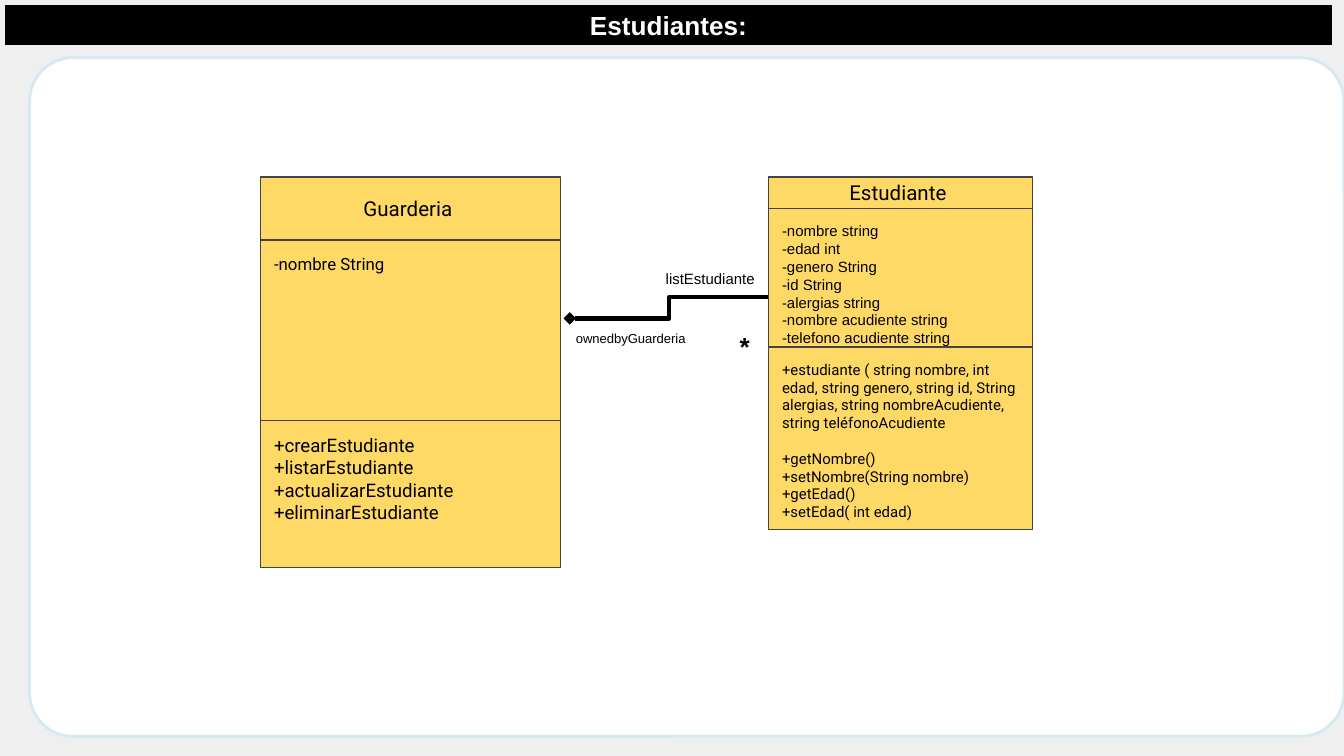
from lxml import etree
from pptx import Presentation
from pptx.dml.color import RGBColor
from pptx.enum.shapes import MSO_CONNECTOR, MSO_SHAPE
from pptx.enum.text import MSO_ANCHOR as Anchor, MSO_AUTO_SIZE as AutoSize, PP_ALIGN as Align
from pptx.oxml.ns import qn
from pptx.util import Cm, Pt

BLACK = RGBColor(0x00, 0x00, 0x00)
WHITE = RGBColor(0xFF, 0xFF, 0xFF)
BACKGROUND = RGBColor(0xEF, 0xEF, 0xEF)
CARD_LINE = RGBColor(0xD6, 0xE8, 0xF0)
CLASS_FILL = RGBColor(0xFF, 0xD9, 0x66)
CLASS_LINE = RGBColor(0x43, 0x43, 0x43)

INSET = Cm(0.25)
BOX_FRAME = {"margin_left": INSET, "margin_right": INSET, "margin_top": INSET,
             "margin_bottom": INSET, "word_wrap": True, "auto_size": AutoSize.NONE}


def apply_format(target, values):
    for name, value in values.items():
        setattr(target, name, value)


def paint(shape, fill, line, width):
    shape.fill.solid()
    shape.fill.fore_color.rgb = fill
    shape.line.color.rgb = line
    shape.line.width = Pt(width)


def write_lines(frame, lines, size, font="Arial", color=BLACK, bold=False, align=Align.LEFT):
    for index, line in enumerate(lines):
        paragraph = frame.paragraphs[0] if index == 0 else frame.add_paragraph()
        paragraph.alignment = align
        run = paragraph.add_run()
        run.text = line
        apply_format(run.font, {"name": font, "size": Pt(size), "bold": bold})
        run.font.color.rgb = color


def add_box(slide, kind, box, fill, line, width):
    shape = slide.shapes.add_shape(kind, *map(Cm, box))
    shape.shadow.inherit = False
    paint(shape, fill, line, width)
    return shape


def add_title(slide, box, text):
    title = slide.shapes.title
    apply_format(title, dict(zip(("left", "top", "width", "height"), map(Cm, box))))
    paint(title, BLACK, BLACK, 0.75)
    apply_format(title.text_frame, {**BOX_FRAME, "vertical_anchor": Anchor.MIDDLE})
    write_lines(title.text_frame, [text], 14, color=WHITE, bold=True, align=Align.CENTER)


def add_card(slide, box):
    card = add_box(slide, MSO_SHAPE.ROUNDED_RECTANGLE, box, WHITE, CARD_LINE, 1.5)
    card.adjustments[0] = 0.064


def add_class(slide, box, sections):
    """Stack the name, attribute and method sections; return their text frames."""
    left, top, width = box
    frames = []
    for index, (height, lines, size, font) in enumerate(sections):
        is_name = index == 0
        shape = add_box(slide, MSO_SHAPE.RECTANGLE, (left, top, width, height),
                        CLASS_FILL, CLASS_LINE, 0.75)
        anchor = Anchor.MIDDLE if is_name else Anchor.TOP
        apply_format(shape.text_frame, {**BOX_FRAME, "vertical_anchor": anchor})
        write_lines(shape.text_frame, lines, size, font,
                    align=Align.CENTER if is_name else Align.LEFT)
        frames.append(shape.text_frame)
        top += height
    return frames


def add_composition(slide, start, end):
    connector = slide.shapes.add_connector(MSO_CONNECTOR.ELBOW, *map(Cm, start + end))
    connector.line.color.rgb = BLACK
    connector.line.width = Pt(2.25)
    line = connector.line._get_or_add_ln()
    etree.SubElement(line, qn("a:tailEnd"), type="diamond")
    etree.SubElement(connector._element.spPr, qn("a:effectLst"))


def add_label(slide, box, text, size, bold=False, wrap=False):
    frame = slide.shapes.add_textbox(*map(Cm, box)).text_frame
    apply_format(frame, {"word_wrap": wrap, "auto_size": AutoSize.SHAPE_TO_FIT_TEXT})
    write_lines(frame, [text], size, bold=bold, align=Align.CENTER)


def main():
    presentation = Presentation()
    presentation.slide_width, presentation.slide_height = Cm(25.4), Cm(14.29)
    slide = presentation.slides.add_slide(presentation.slide_layouts[5])
    slide.background.fill.solid()
    slide.background.fill.fore_color.rgb = BACKGROUND

    # Frame of the slide
    add_card(slide, (0.56, 1.09, 24.84, 12.83))
    add_title(slide, (0.1, 0.1, 25.07, 0.74), "Estudiantes:")

    # Relation between the classes
    add_composition(slide, (14.53, 5.61), (10.77, 6.02))

    # Class diagrams: height, lines, size and font of each section
    add_class(slide, (4.93, 3.35, 5.66), [
        (1.19, ["Guarderia "], 11, "Roboto"),
        (3.41, ["-nombre String"], 9, "Roboto"),
        (2.78, ["+crearEstudiante", "+listarEstudiante", "+actualizarEstudiante",
                "+eliminarEstudiante"], 10, "Roboto"),
    ])
    methods = add_class(slide, (14.53, 3.35, 4.98), [
        (0.59, ["Estudiante "], 11, "Roboto"),
        (2.62, ["-nombre string", "-edad int", "-genero String", "-id String",
                "-alergias string", "-nombre acudiente string",
                "-telefono acudiente string"], 8, "Arial"),
        (3.45, ["+estudiante ( string nombre, int edad, string genero, string id, "
                "String alergias, string nombreAcudiente, string teléfonoAcudiente",
                "+getNombre()", "+setNombre(String nombre)", "+getEdad()",
                "+setEdad( int edad)"], 8, "Roboto"),
    ])[-1]
    methods.paragraphs[1].space_before = Pt(9.4)  # gap after the constructor

    # Labels of the relation
    add_label(slide, (10.46, 6.12, 2.92, 0.56), "ownedbyGuarderia", 7, wrap=True)
    add_label(slide, (12.32, 4.98, 2.21, 0.61), "listEstudiante", 8)
    add_label(slide, (13.72, 6.12, 0.71, 0.86), "*", 14, bold=True)

    presentation.save("out.pptx")


if __name__ == "__main__":
    main()
